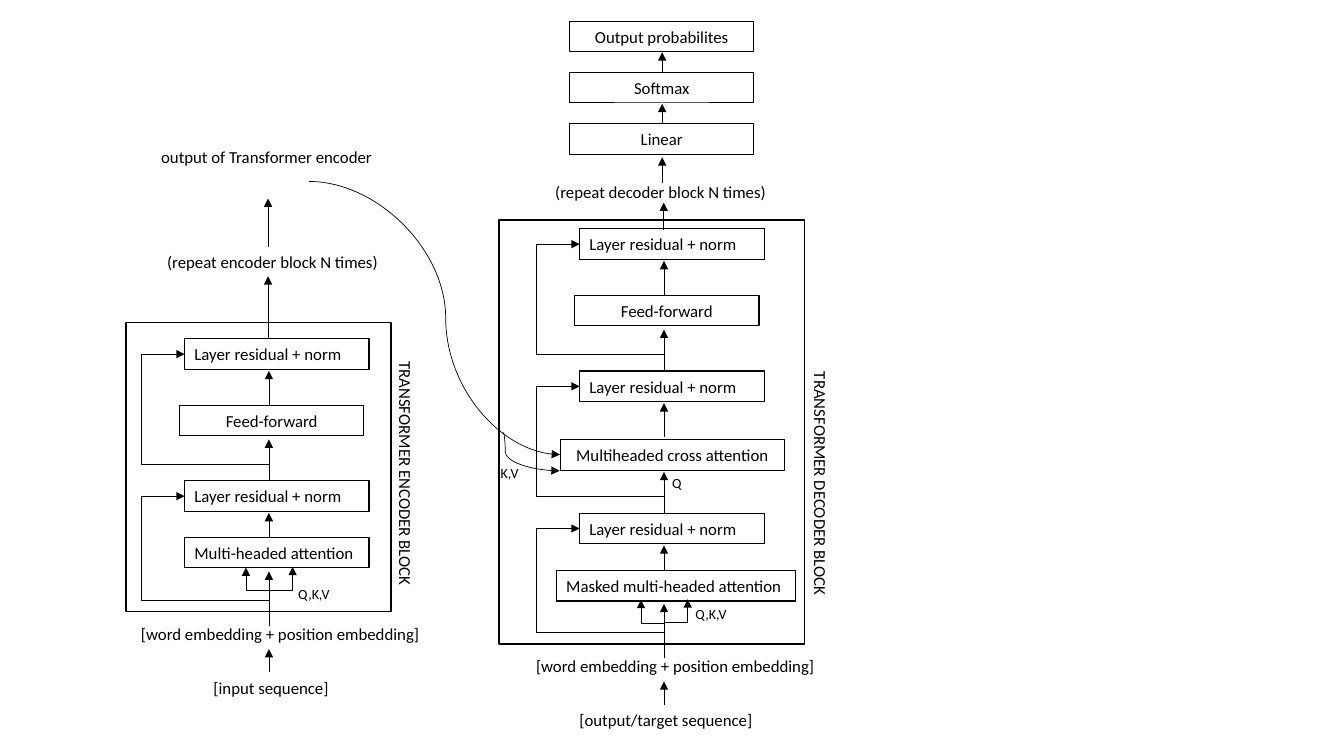
from dataclasses import dataclass

import pptx
import pptx.dml.color
import pptx.enum.dml
import pptx.enum.shapes
import pptx.enum.text
import pptx.oxml
import pptx.oxml.ns
import pptx.util
from lxml import etree

Pt = pptx.util.Pt
qn = pptx.oxml.ns.qn
AL = pptx.enum.text.PP_ALIGN
KIND = pptx.enum.shapes.MSO_CONNECTOR


@dataclass(frozen=True)
class Theme:
    ink: pptx.dml.color.RGBColor = pptx.dml.color.RGBColor(0, 0, 0)
    font: str = "Calibri"
    body: float = 12
    small: float = 10
    arrow: float = 0.5
    box: float = 0.75
    frame: float = 1


@dataclass(frozen=True)
class Box:
    text: str
    x: float
    y: float
    w: float = 131.8
    h: float = 21.8
    align: AL = AL.CENTER
    line: float = Theme.box


@dataclass(frozen=True)
class Label:
    text: str
    x: float
    y: float
    w: float
    h: float = 21.8
    size: float = Theme.body
    rot: float = 0
    wrap: bool = False


@dataclass(frozen=True)
class Arrow:
    x1: float
    y1: float
    x2: float
    y2: float


@dataclass(frozen=True)
class Bend:
    preset: str
    x: float
    y: float
    w: float
    h: float
    adj: tuple[float, ...]
    rot: int = 0
    flips: str = ""


@dataclass(frozen=True)
class Sublayer:
    text: str
    y: float
    box_dx: float = -3.6
    box_dy: float = 47.5
    box_w: float = 131.8
    skip: float = 0.015


@dataclass(frozen=True)
class Block:
    title: Label
    frame: Box
    x: float
    y: float
    attention: Box
    qkv: Label
    sequence: Label
    sublayers: tuple[Sublayer, ...]


T = Theme()
NORM = "Layer residual + norm"


def write(s, text: str, size: float, align: AL, wrap: bool) -> None:
    tf = s.text_frame
    fmt = {"word_wrap": wrap, "auto_size": pptx.enum.text.MSO_AUTO_SIZE.SHAPE_TO_FIT_TEXT}
    for name, value in fmt.items():
        setattr(tf, name, value)
    p = tf.paragraphs[0]
    p.alignment = align
    r = p.add_run()
    r.text = text
    for name, value in {"name": T.font, "size": Pt(size)}.items():
        setattr(r.font, name, value)
    r.font.color.rgb = T.ink


def stroke(line, width: float) -> None:
    line.width = Pt(width)
    line.color.rgb = T.ink


def draw_box(shapes, b: Box) -> None:
    s = shapes.add_shape(pptx.enum.shapes.MSO_SHAPE.RECTANGLE, Pt(b.x), Pt(b.y), Pt(b.w), Pt(b.h))
    s.shadow.inherit = False
    s.fill.background()
    stroke(s.line, b.line)
    if b.text:
        write(s, b.text, T.body, b.align, True)


def draw_label(shapes, t: Label) -> None:
    s = shapes.add_textbox(Pt(t.x), Pt(t.y), Pt(t.w), Pt(t.h))
    s.rotation = t.rot
    write(s, t.text, t.size, AL.LEFT, t.wrap)


def connect(shapes, kind: KIND, x1: float, y1: float, x2: float, y2: float):
    c = shapes.add_connector(kind, Pt(x1), Pt(y1), Pt(x2), Pt(y2))
    stroke(c.line, T.arrow)
    etree.SubElement(c.line._get_or_add_ln(), qn("a:tailEnd"), type="triangle")
    etree.SubElement(c._element.spPr, qn("a:effectLst"))
    return c


def draw_arrow(shapes, a: Arrow) -> None:
    connect(shapes, KIND.STRAIGHT, a.x1, a.y1, a.x2, a.y2)


def draw_bend(shapes, b: Bend) -> None:
    c = connect(shapes, KIND.ELBOW, b.x, b.y, b.x + b.w, b.y + b.h)
    xfrm = c._element.spPr.find(qn("a:xfrm"))
    xfrm.set("rot", str(b.rot * 60000))
    for axis in b.flips:
        xfrm.set("flip" + axis, "1")
    geom = c._element.spPr.find(qn("a:prstGeom"))
    geom.set("prst", b.preset)
    guides = geom.find(qn("a:avLst"))
    if guides is None:
        guides = etree.SubElement(geom, qn("a:avLst"))
    for i, value in enumerate(b.adj, 1):
        etree.SubElement(guides, qn("a:gd"), name=f"adj{i}", fmla=f"val {round(value * 100000)}")


DRAW = {Box: draw_box, Label: draw_label, Arrow: draw_arrow, Bend: draw_bend}


def norm_parts(x: float, y: float, skip: float) -> list:
    return [Box(NORM, x, y, align=AL.LEFT),
            Bend("bentConnector4", x - 9.7, y + 20.8, 80, 60.5, (skip, 1.51), 270, "V")]


def block_parts(b: Block) -> list:
    x, y, trunk = b.x, b.y, b.x + 60.3
    parts = [b.frame, b.title, b.attention, b.qkv, b.sequence, *norm_parts(x, y, 0.073),
             Label("[word embedding + position embedding]", x - 38.2, y + 98.6, 215.3),
             Bend("bentConnector3", x + 60.3, y + 61.9, 17.3, 16.6, (0.044,), 90, "HV"),
             Bend("bentConnector3", x + 42.5, y + 63.4, 19.4, 16.6, (0.148,), 270, "V")]
    parts += [Arrow(trunk, y + start, trunk, y + end)
              for start, end in ((136.8, 120.2), (103.7, 64.8), (40.3, 23))]
    for sub in b.sublayers:
        parts += norm_parts(x, sub.y, sub.skip)
        parts.append(Box(sub.text, x + sub.box_dx, sub.y + sub.box_dy, sub.box_w))
        parts += [Arrow(trunk, sub.y + start, trunk, sub.y + end)
                  for start, end in ((101.5, 72), (47.5, 23))]
    return parts


ENCODER = Block(
    Label("TRANSFORMER ENCODER BLOCK", 201.6, 328.3, 176.4, rot=90),
    Box("", 90, 230.4, 189.4, 206.6, line=T.frame), 131.8, 343.4,
    Box("Multi-headed attention", 131.8, 383.8, align=AL.LEFT),
    Label("Q,K,V", 205.9, 414.7, 37.4, 19.4, T.small),
    Label("[input sequence]", 145.4, 480.2, 97.2),
    (Sublayer("Feed-forward", 241.9),))
DECODER = Block(
    Label("TRANSFORMER DECODER BLOCK", 498.2, 335.5, 175.7, rot=90),
    Box("", 356.4, 157, 218.2, 303.1, line=T.frame), 414, 366.5,
    Box("Masked multi-headed attention", 397.4, 407.5, 170.6, align=AL.LEFT),
    Label("Q,K,V", 489.6, 429.1, 37.4, 19.4, T.small),
    Label("[output/target sequence]", 406.8, 503.3, 139),
    (Sublayer("Multiheaded cross attention", 265, -13.7, 49, 159.8),
     Sublayer("Feed-forward", 163.4)))
LINKS = (
    Arrow(191.5, 241.9, 191.5, 197.3),
    Label("(repeat encoder block N times)", 112.3, 176.4, 167),
    Arrow(191.5, 176.4, 191.5, 141.8),
    Label("output of Transformer encoder", 108, 101.5, 195.1, wrap=True),
    Label("Q", 473, 335.5, 21.6, 19.4, T.small),
    Bend("curvedConnector3", 220.6, 129.6, 179.4, 195.1, (0.545,)),
    Bend("curvedConnector3", 359.5, 308.9, 40.3, 27.4, (0.036,)),
    Label("K,V", 350.6, 328.3, 28.1, 19.4, T.small),
    Arrow(474.1, 164, 474.1, 144.7),
    Label("(repeat decoder block N times)", 389.5, 126, 173.5),
    Arrow(473, 131, 473, 112.3),
)
HEAD = [Box(text, 406.8, 15.1 + 36.7 * i)
        for i, text in enumerate(("Output probabilites", "Softmax", "Linear"))]
HEAD_ARROWS = [Arrow(473, b.y, 473, b.y - 14.4) for b in HEAD[1:]]


def main() -> None:
    prs = pptx.Presentation()
    prs.slide_width, prs.slide_height = Pt(960), Pt(540)
    shapes = prs.slides.add_slide(prs.slide_layouts[6]).shapes
    for part in [*block_parts(ENCODER), *block_parts(DECODER), *LINKS, *HEAD, *HEAD_ARROWS]:
        DRAW[type(part)](shapes, part)
    prs.save("out.pptx")


if __name__ == "__main__":
    main()
